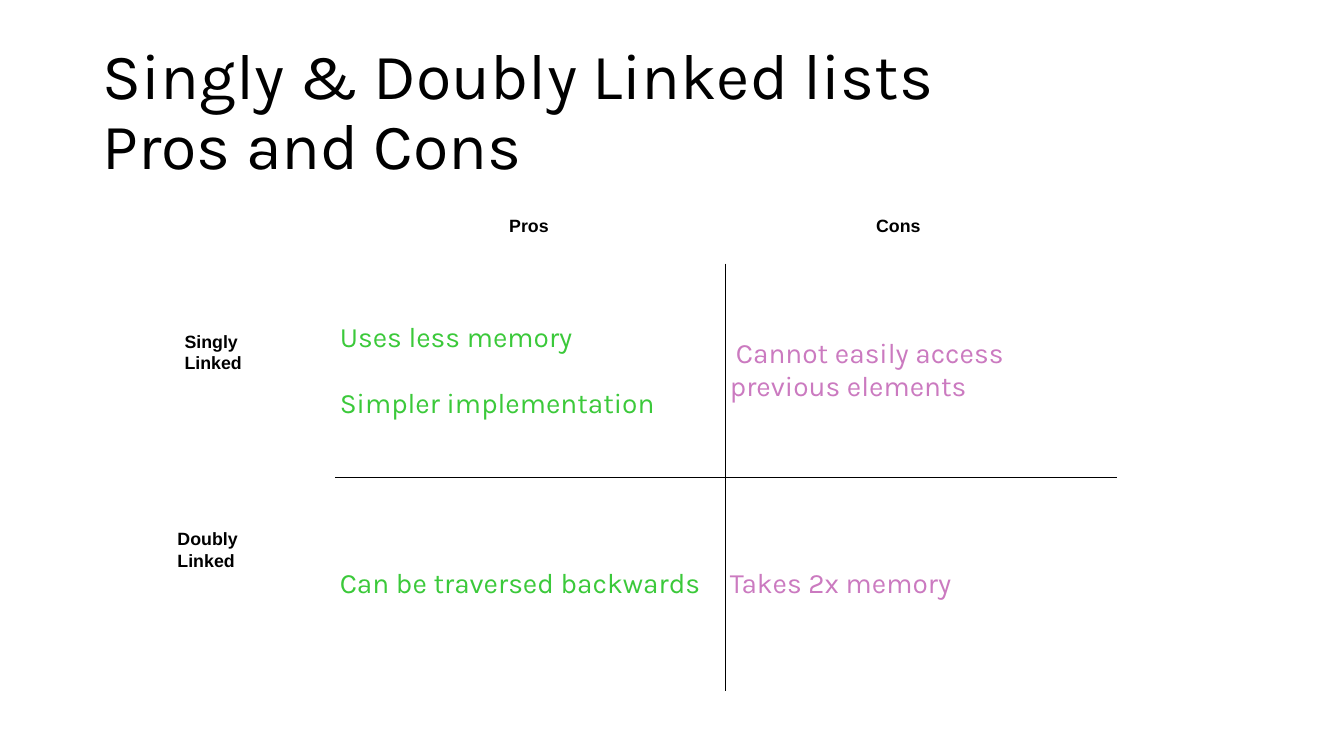
from dataclasses import dataclass

from lxml import etree
from pptx import Presentation, util as u
from pptx.dml.color import RGBColor
from pptx.enum import text
from pptx.oxml.ns import qn

COLORS = {"ink": "000000", "paper": "FFFFFF", "pro": "3BC93A", "con": "CB7AC0"}
INSET = 0.04
ROW_HEIGHT, COLUMN_WIDTH = 2.12, 3.87


@dataclass(frozen=True)
class Style:
    font: str
    size: float
    color: str
    bold: bool = False


@dataclass(frozen=True)
class Label:
    words: str
    left: float
    top: float
    width: float
    height: float


@dataclass(frozen=True)
class Verdict:
    words: str
    color: str
    indent: float = 0


TITLE = Label("Singly & Doubly Linked lists\nPros and Cons", 0.92, 0.4, 11.5, 1.45)
TITLE_STYLE = Style("Karla", 46.1, "ink")
LABEL_STYLE = Style("Arial", 12.7, "ink", bold=True)
LABELS = [
    Label("Pros", 5.01, 2.09, 0.52, 0.29),
    Label("Cons", 8.65, 2.09, 0.57, 0.29),
    Label("Singly\nLinked", 1.79, 3.24, 0.7, 0.5),
    Label("Doubly\nLinked", 1.72, 5.2, 0.73, 0.5),
]
VERDICTS = [
    [Verdict("Uses less memory\nSimpler implementation", "pro"),
     Verdict("Cannot easily access\vprevious elements", "con", indent=0.06)],
    [Verdict("Can be traversed backwards", "pro"),
     Verdict("Takes 2x memory", "con")],
]


def style_runs(frame, style: Style) -> None:
    for paragraph in frame.paragraphs:
        for run in paragraph.runs:
            run.font.name = style.font
            run.font.size = u.Pt(style.size)
            run.font.bold = style.bold
            run.font.color.rgb = RGBColor.from_string(COLORS[style.color])


def set_insets(target) -> None:
    target.margin_left = target.margin_right = u.Inches(INSET)
    target.margin_top = target.margin_bottom = u.Inches(INSET)


def add_label(slide, label: Label, style: Style):
    box = slide.shapes.add_textbox(u.Inches(label.left), u.Inches(label.top),
                                   u.Inches(label.width), u.Inches(label.height))
    frame = box.text_frame
    frame.text = label.words
    frame.vertical_anchor = text.MSO_ANCHOR.MIDDLE
    style_runs(frame, style)
    return frame


def add_border(cell, side: str, color: str) -> None:
    width = u.Pt(0.75 if color == "ink" else 1)
    line = etree.SubElement(cell._tc.get_or_add_tcPr(), qn(f"a:ln{side}"), w=str(width))
    fill = etree.SubElement(line, qn("a:solidFill"))
    etree.SubElement(fill, qn("a:srgbClr"), val=COLORS[color])


def fill_cell(cell, verdict: Verdict, row: int, column: int) -> None:
    """Write a verdict; only the borders shared by two cells are dark."""
    inner = {"R" if column == 0 else "L", "B" if row == 0 else "T"}
    for side in "LRTB":
        add_border(cell, side, "ink" if side in inner else "paper")
    cell.fill.background()
    cell.vertical_anchor = text.MSO_ANCHOR.MIDDLE
    set_insets(cell)
    frame = cell.text_frame
    frame.text = verdict.words
    for paragraph in frame.paragraphs[1:]:
        paragraph.space_before = u.Pt(23.4)
    if verdict.indent:
        properties = frame.paragraphs[0]._p.get_or_add_pPr()
        properties.set("indent", str(u.Inches(verdict.indent)))
    style_runs(frame, Style("Karla", 20, verdict.color))


def add_verdicts(slide) -> None:
    table = slide.shapes.add_table(2, 2, u.Inches(3.33), u.Inches(2.62),
                                   u.Inches(2 * COLUMN_WIDTH), u.Inches(2 * ROW_HEIGHT)).table
    table.first_row = table.horz_banding = False
    for row, verdicts in enumerate(VERDICTS):
        for column, verdict in enumerate(verdicts):
            fill_cell(table.cell(row, column), verdict, row, column)


def main() -> None:
    deck = Presentation()
    deck.slide_width, deck.slide_height = u.Inches(13.33), u.Inches(7.5)
    slide = deck.slides.add_slide(deck.slide_layouts[6])

    title = add_label(slide, TITLE, TITLE_STYLE)
    title.word_wrap = True
    for paragraph in title.paragraphs:
        paragraph.line_spacing = 0.9

    add_verdicts(slide)

    for label in LABELS:
        frame = add_label(slide, label, LABEL_STYLE)
        set_insets(frame)
        frame.word_wrap = True

    deck.save("out.pptx")


if __name__ == "__main__":
    main()
